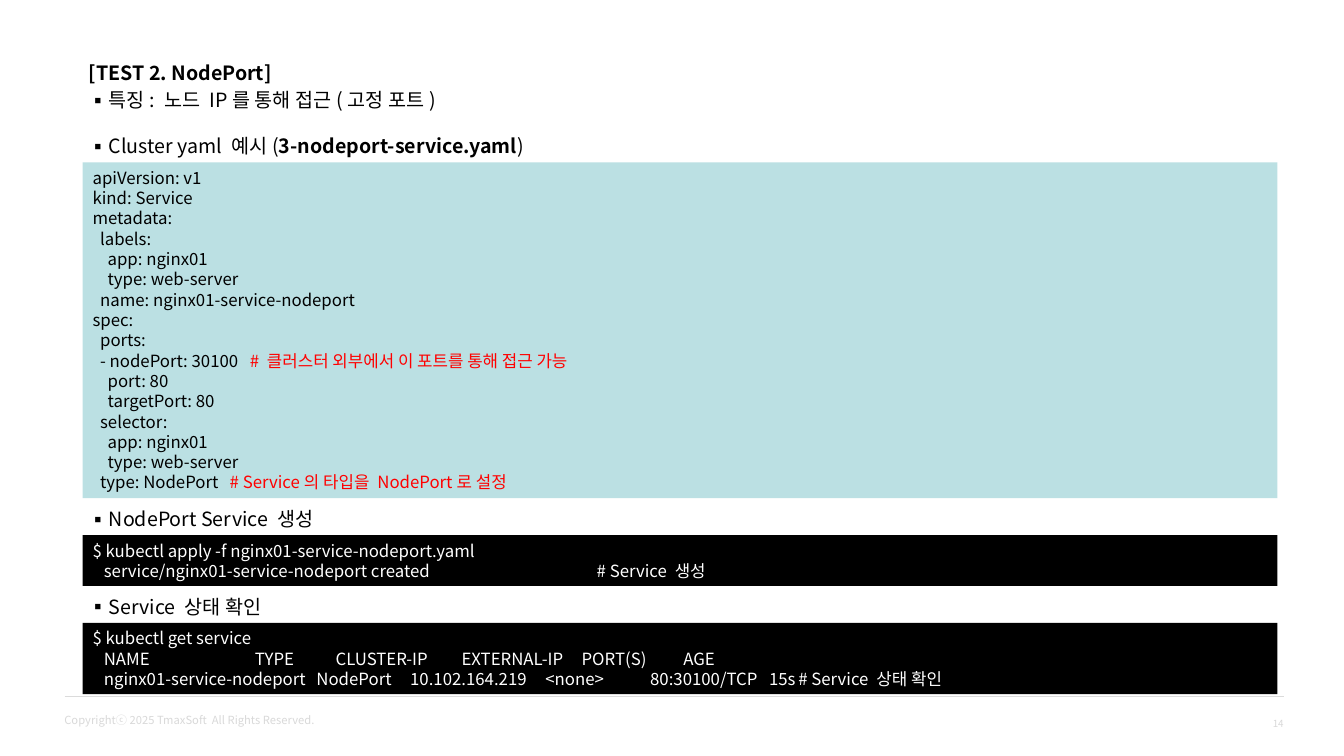
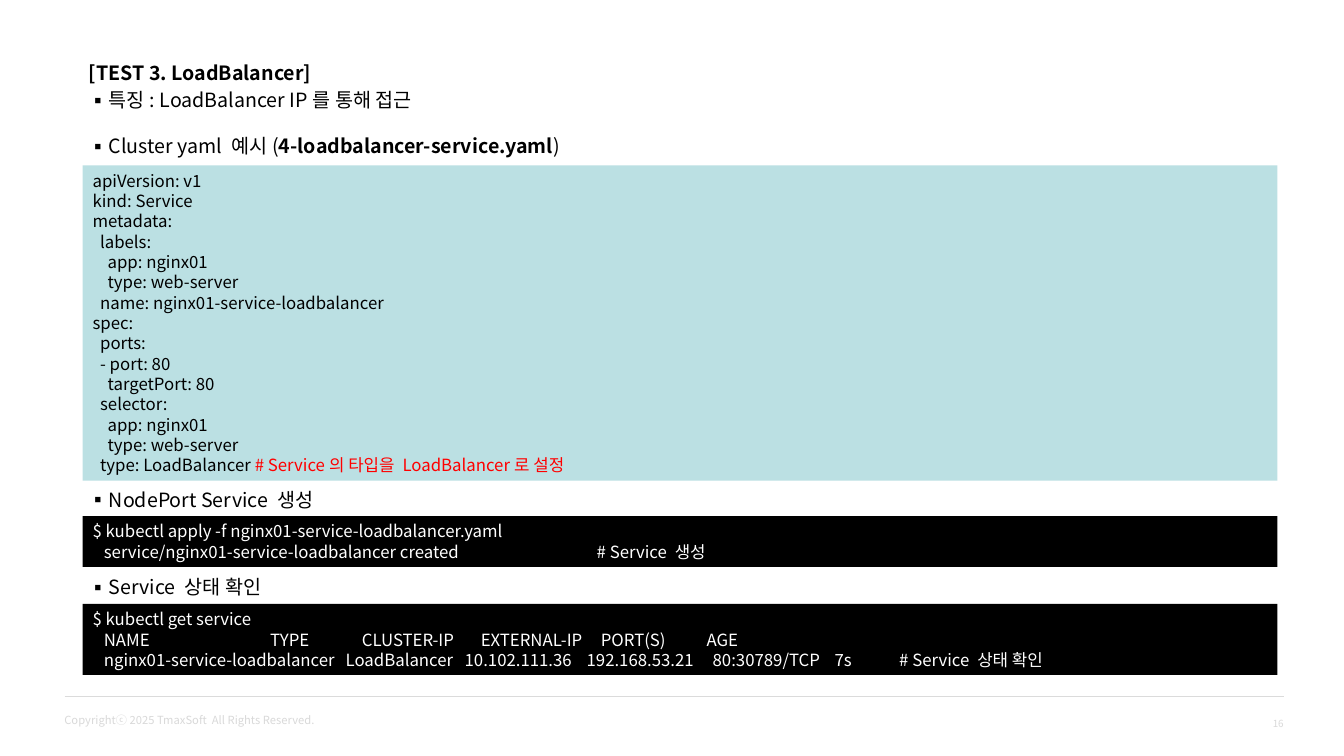
from lxml import etree
from pptx import Presentation
from pptx.dml.color import RGBColor
from pptx.enum.shapes import MSO_CONNECTOR, MSO_SHAPE
from pptx.enum.text import MSO_ANCHOR as ANCHOR, MSO_AUTO_SIZE as FIT, PP_ALIGN as ALIGN
from pptx.oxml.ns import qn
from pptx.util import Inches, Pt

BLACK = RGBColor(0x00, 0x00, 0x00)
WHITE = RGBColor(0xFF, 0xFF, 0xFF)
RED = RGBColor(0xFF, 0x00, 0x00)
TEAL = RGBColor(0xBB, 0xE0, 0xE3)
FOOTER_GRAY = RGBColor(0xD9, 0xD9, 0xD9)
RULE_GRAY = RGBColor(0xDB, 0xDB, 0xDB)

FONT = "Noto Sans CJK KR"
COPYRIGHT = "Copyrightⓒ 2025 TmaxSoft  All Rights Reserved."


class Deck:
    """Holds the shared style and the slide being filled."""

    text_left, text_width, text_height = 0.78, 11.94, 0.34
    code_left, code_width = 0.82, 11.85
    code_line, code_padding = 0.202, 0.1
    heading = {"size": Pt(14), "bold": False}
    code = {"size": Pt(12), "bold": False}

    def __init__(self):
        self.prs = Presentation()
        self.prs.slide_width = Inches(13.33)
        self.prs.slide_height = Inches(7.5)
        self.layout = self.prs.slide_layouts.get_by_name("Comparison")
        self.slide = None
        self.bodies = None

    def new_slide(self, number):
        self.slide = self.prs.slides.add_slide(self.layout)
        title, *bodies = self.slide.placeholders
        self.bodies = iter(bodies)
        self.footer(number)

    def frame(self, sp, **formats):
        tf = sp.text_frame
        settings = {"word_wrap": True, "auto_size": FIT.NONE,
                    "vertical_anchor": ANCHOR.TOP, **formats}
        for name, value in settings.items():
            setattr(tf, name, value)
        return tf

    def place(self, sp, left, top, width, height):
        for name, value in zip(("left", "top", "width", "height"),
                               (left, top, width, height)):
            setattr(sp, name, Inches(value))

    def run(self, p, text, color=BLACK, **formats):
        r = p.add_run()
        r.text = text
        for name, value in {"name": FONT, **formats}.items():
            setattr(r.font, name, value)
        r.font.color.rgb = color
        etree.SubElement(r.font._element, qn("a:ea"), typeface=FONT)

    def paragraph(self, p, spacing, align=ALIGN.LEFT):
        for name, value in {"alignment": align, "space_before": Pt(0),
                            "line_spacing": Pt(spacing)}.items():
            setattr(p, name, value)

    def bullet(self, p):
        pPr = p._p.get_or_add_pPr()
        pPr.set("marL", str(Inches(0.2)))
        pPr.set("indent", str(-Inches(0.2)))
        etree.SubElement(pPr, qn("a:buFont"), typeface=FONT)
        etree.SubElement(pPr, qn("a:buChar"), char="▪")

    def tab_stops(self, p, stops):
        tabs = etree.SubElement(p._p.get_or_add_pPr(), qn("a:tabLst"))
        for stop in stops:
            etree.SubElement(tabs, qn("a:tab"), pos=str(Inches(stop)), algn="l")

    def title(self, text):
        sp = self.slide.shapes.title
        self.place(sp, self.text_left, 0.55, self.text_width, self.text_height)
        p = self.frame(sp).paragraphs[0]
        self.paragraph(p, 17.3)
        self.run(p, text, **{**self.heading, "bold": True})

    def point(self, top, text, strong="", end=""):
        """Fill the next body placeholder with one bullet, partly bold."""
        sp = next(self.bodies)
        self.place(sp, self.text_left, top, self.text_width, self.text_height)
        p = self.frame(sp).paragraphs[0]
        self.bullet(p)
        self.paragraph(p, 17.3)
        for part, bold in ((text, False), (strong, True), (end, False)):
            if part:
                self.run(p, part, **{**self.heading, "bold": bold})

    def code_box(self, top, lines, fill=BLACK, color=WHITE, comment=WHITE):
        """Draw code; a line is a string or a tuple of text and tab stops."""
        height = self.code_padding + self.code_line * len(lines)
        sp = self.slide.shapes.add_shape(
            MSO_SHAPE.RECTANGLE, Inches(self.code_left), Inches(top),
            Inches(self.code_width), Inches(height))
        sp.shadow.inherit = False
        sp.fill.solid()
        sp.fill.fore_color.rgb = fill
        sp.line.fill.background()
        tf = self.frame(sp)
        for i, line in enumerate(lines):
            text, *stops = (line,) if isinstance(line, str) else line
            p = tf.add_paragraph() if i else tf.paragraphs[0]
            if stops:
                self.tab_stops(p, stops)
            self.paragraph(p, 14.5)
            statement, mark, note = text.partition("#")
            self.run(p, statement, color, **self.code)
            if mark:
                self.run(p, mark + note, comment, **self.code)

    def small_text(self, at, text, size, align=ALIGN.LEFT, **formats):
        sp = self.slide.shapes.add_textbox(*map(Inches, at))
        p = self.frame(sp, **formats).paragraphs[0]
        p.alignment = align
        self.run(p, text, FOOTER_GRAY, size=Pt(size))

    def footer(self, number):
        rule = self.slide.shapes.add_connector(
            MSO_CONNECTOR.STRAIGHT, Inches(0.64), Inches(6.91),
            Inches(12.73), Inches(6.91))
        rule.line.color.rgb = RULE_GRAY
        rule.line.width = Pt(0.5)
        etree.SubElement(rule._element.spPr, qn("a:effectLst"))
        self.small_text((0.54, 7.03, 2.7, 0.24), COPYRIGHT, 8, word_wrap=False)
        self.small_text((11.78, 6.85, 1.05, 0.65), str(number), 7, ALIGN.RIGHT,
                        vertical_anchor=ANCHOR.MIDDLE)


def service_yaml(name, ports, type_line):
    labels = ["    app: nginx01", "    type: web-server"]
    return ["apiVersion: v1", "kind: Service", "metadata:", "  labels:", *labels,
            f"  name: {name}", "spec:", "  ports:", *ports,
            "    targetPort: 80", "  selector:", *labels, type_line]


def service_slide(deck, number, title, feature, yaml_file, name, ports,
                  type_line, tops, header_stops, row, row_stops):
    yaml_top, apply_top, status_top = tops
    deck.new_slide(number)
    deck.title(title)
    deck.point(0.82, feature)
    deck.point(1.27, "Cluster yaml 예시(", yaml_file, ")")
    deck.code_box(yaml_top, service_yaml(name, ports, type_line),
                  TEAL, BLACK, RED)
    deck.point(apply_top - deck.text_height, "NodePort Service 생성")
    deck.code_box(apply_top, [
        f"$ kubectl apply -f {name}.yaml",
        (f"   service/{name} created\t# Service 생성", 5)])
    deck.point(status_top - deck.text_height, "Service 상태 확인")
    header = ["NAME", "TYPE", "CLUSTER-IP", "EXTERNAL-IP", "PORT(S)", "AGE"]
    deck.code_box(status_top, [
        "$ kubectl get service",
        ("   " + "\t".join(header), *header_stops),
        ("   " + "\t".join([name, *row, "# Service 상태 확인"]), *row_stops)])


def main():
    deck = Deck()
    service_slide(
        deck, 14, "[TEST 2. NodePort]", "특징: 노드 IP를 통해 접근(고정 포트)",
        "3-nodeport-service.yaml", "nginx01-service-nodeport",
        [("  - nodePort: 30100\t# 클러스터 외부에서 이 포트를 통해 접근 가능", 1.56),
         "    port: 80"],
        ("  type: NodePort\t# Service의 타입을 NodePort로 설정", 1.36),
        (1.61, 5.31, 6.18),
        (1.61, 2.41, 3.66, 4.85, 5.86),
        ["NodePort", "10.102.164.219", "<none>", "80:30100/TCP", "15s"],
        (2.22, 3.15, 4.49, 5.53, 6.71, 7))
    service_slide(
        deck, 16, "[TEST 3. LoadBalancer]", "특징: LoadBalancer IP를 통해 접근",
        "4-loadbalancer-service.yaml", "nginx01-service-loadbalancer",
        ["  - port: 80"],
        "  type: LoadBalancer # Service의 타입을 LoadBalancer로 설정",
        (1.64, 5.12, 5.99),
        (1.76, 2.67, 3.85, 5.04, 6.09),
        ["LoadBalancer", "10.102.111.36", "192.168.53.21", "80:30789/TCP", "7s"],
        (2.51, 3.69, 4.9, 6.15, 7.36, 8))
    deck.prs.save("out.pptx")


if __name__ == "__main__":
    main()
